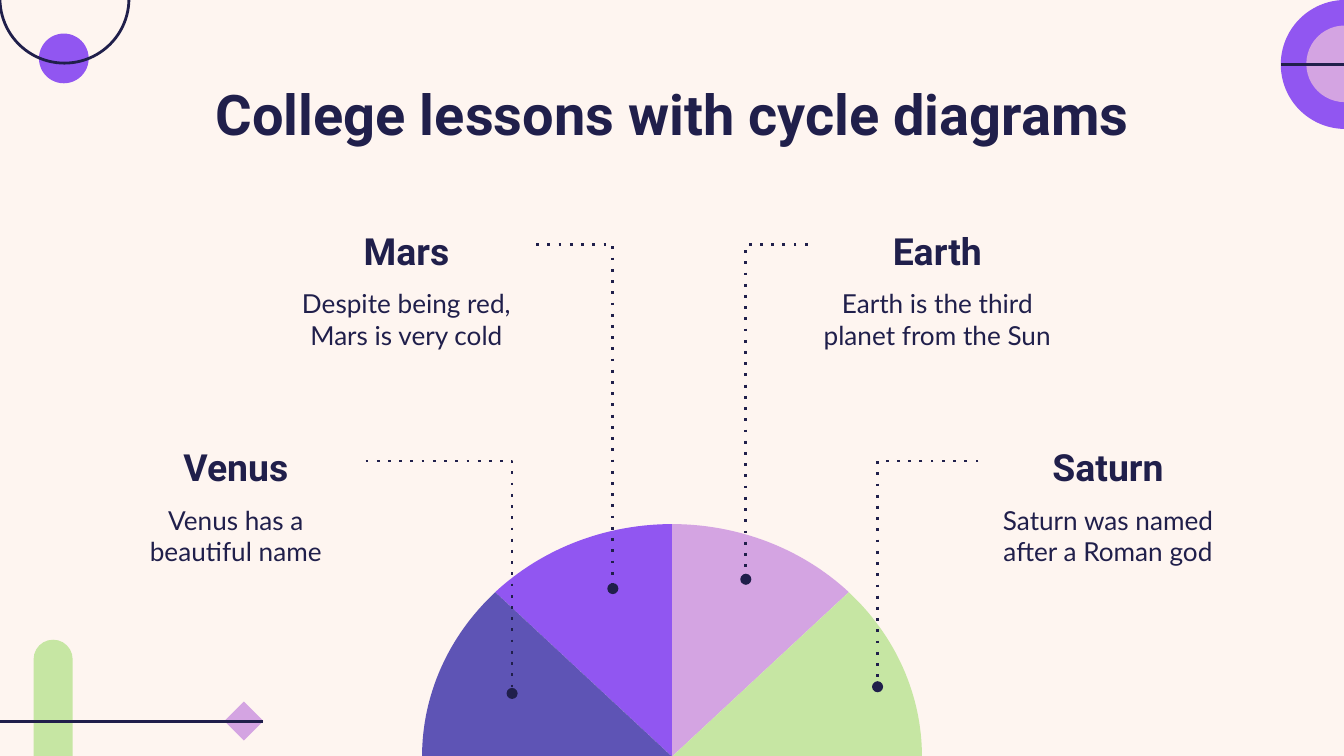
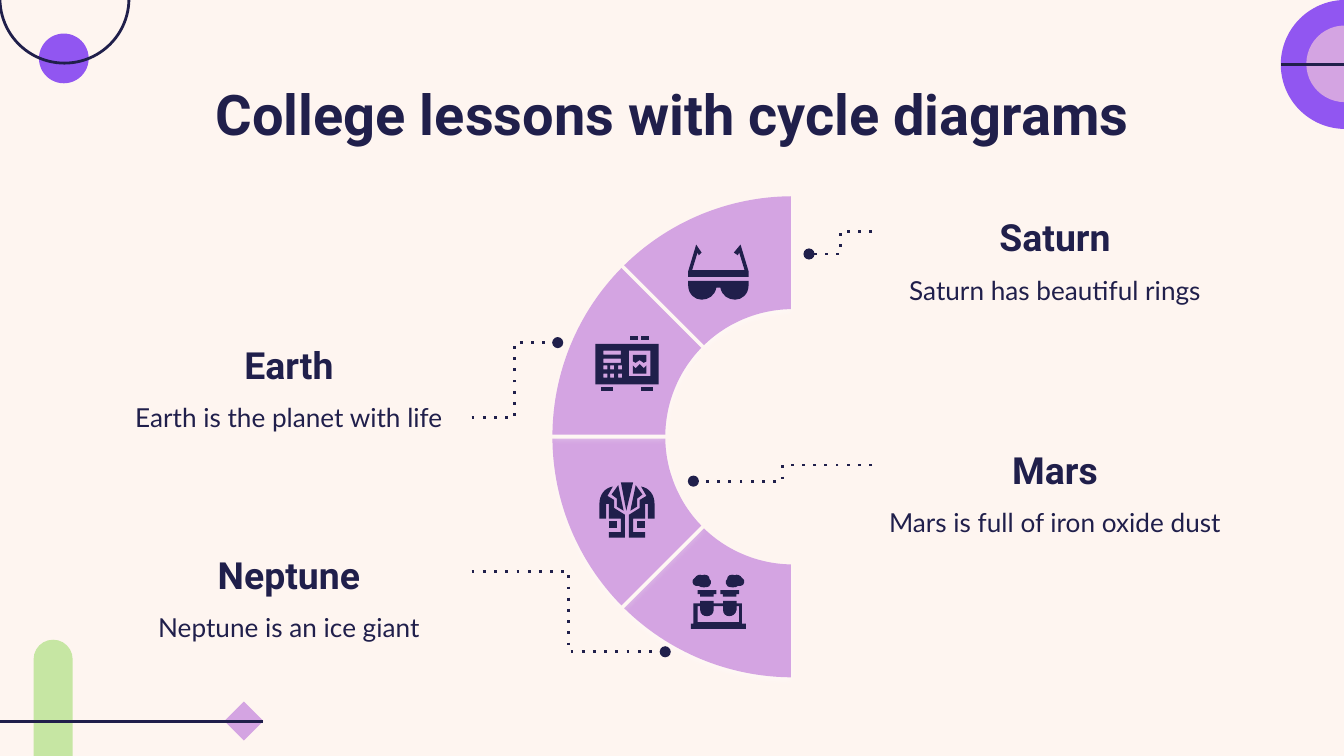
"""Build two slides of cycle diagrams about planets."""
import math

import lxml.etree
import pptx
import pptx.dml.color
import pptx.enum.shapes
import pptx.enum.text
import pptx.oxml.ns
import pptx.util

PX = 9144
SHAPES = pptx.enum.shapes.MSO_SHAPE
CONNECTORS = pptx.enum.shapes.MSO_CONNECTOR
ANCHORS = pptx.enum.text.MSO_ANCHOR
COLORS = {
    "cream": "FEF5F0",
    "navy": "201F4B",
    "violet": "9156F1",
    "lilac": "D4A4E2",
    "indigo": "5E54B5",
    "green": "C6E6A3",
    "glow": "FFFFFF",
}
FONTS = {
    "title": {"name": "Roboto", "size": pptx.util.Pt(30), "bold": True},
    "heading": {"name": "Roboto", "size": pptx.util.Pt(20), "bold": True},
    "body": {"name": "Lato", "size": pptx.util.Pt(14), "bold": False},
}
FRAME = {
    "word_wrap": True,
    "margin_left": 10 * PX,
    "margin_right": 10 * PX,
    "margin_top": 10 * PX,
    "margin_bottom": 10 * PX,
}
TITLE = "College lessons with cycle diagrams"


def rgb(color):
    """Return the colour stored under a name."""
    return pptx.dml.color.RGBColor.from_string(COLORS[color])


def emu(*lengths):
    """Turn px lengths into EMU."""
    return [round(length * PX) for length in lengths]


def add_xml(parent, tag, **attributes):
    """Append a DrawingML element to a parent."""
    return lxml.etree.SubElement(parent, pptx.oxml.ns.qn(tag), attributes)


def paint(shape, fill=None, line=None):
    """Give a shape its fill and line and take away its shadow."""
    shape.shadow.inherit = False
    if fill:
        shape.fill.solid()
        shape.fill.fore_color.rgb = rgb(fill)
    else:
        shape.fill.background()
    if line:
        shape.line.color.rgb = rgb(line)
        shape.line.width = pptx.util.Pt(1.5)
    else:
        shape.line.fill.background()


def add_preset(slide, kind, box, fill=None, line=None):
    """Add a preset shape."""
    shape = slide.shapes.add_shape(kind, *emu(*box))
    paint(shape, fill, line)
    return shape


def add_line(slide, ends, kind=CONNECTORS.STRAIGHT):
    """Add a navy connector without a shadow."""
    connector = slide.shapes.add_connector(kind, *emu(*ends))
    connector.line.color.rgb = rgb("navy")
    connector.line.width = pptx.util.Pt(1.5)
    add_xml(connector.element.spPr, "a:effectLst")
    return connector


def add_pointer(slide, ends, preset):
    """Add a dotted elbow that ends in a dot."""
    properties = add_line(slide, ends, CONNECTORS.ELBOW).element.spPr
    properties.find(pptx.oxml.ns.qn("a:prstGeom")).set("prst", preset)
    line = properties.find(pptx.oxml.ns.qn("a:ln"))
    add_xml(line, "a:prstDash", val="dot")
    add_xml(line, "a:round")
    add_xml(line, "a:tailEnd", type="oval", w="med", len="med")


def add_text(slide, text, box, style, anchor=ANCHORS.TOP):
    """Add centred text in one of the styles."""
    frame = slide.shapes.add_textbox(*emu(*box)).text_frame
    for name, value in {**FRAME, "vertical_anchor": anchor}.items():
        setattr(frame, name, value)
    paragraph = frame.paragraphs[0]
    paragraph.alignment = pptx.enum.text.PP_ALIGN.CENTER
    run = paragraph.add_run()
    run.text = text
    for name, value in FONTS[style].items():
        setattr(run.font, name, value)
    run.font.color.rgb = rgb("navy")


def add_label(slide, heading, body, left, top, width, height):
    """Add a planet's fact with its name above."""
    add_text(slide, body, (left, top, width, height), "body")
    add_text(slide, heading, (left, top - 52, width, 61), "heading", ANCHORS.BOTTOM)


def add_outline(shapes, contours, fill):
    """Add an outline of points and cubic curves; further contours cut holes."""
    first = emu(*contours[0][0])
    builder = shapes.build_freeform(*first, scale=1.0)
    for i, contour in enumerate(contours):
        points = [emu(*step[-2:]) for step in contour]
        if i:
            builder.move_to(*points[0])
        builder.add_line_segments(points[1:], close=True)
    shape = builder.convert_to_shape()
    paint(shape, fill)
    steps = [step for contour in contours for step in contour[1:]]
    segments = list(shape.element.spPr.iter(pptx.oxml.ns.qn("a:lnTo")))
    for segment, step in zip(segments, steps):
        if len(step) == 6:
            bend(segment, emu(*step), shape.left, shape.top)
    return shape


def bend(segment, step, left, top):
    """Turn a line segment into a cubic curve."""
    curve = lxml.etree.Element(pptx.oxml.ns.qn("a:cubicBezTo"))
    for x, y in zip(step[::2], step[1::2]):
        add_xml(curve, "a:pt", x=str(x - left), y=str(y - top))
    segment.getparent().replace(segment, curve)


def arc(center, radii, start, stop):
    """Return the first point and the curve of an arc between two angles."""
    first, last = math.radians(start), math.radians(stop)
    pull = 4 / 3 * math.tan((last - first) / 4)

    def point(angle, reach):
        """Return a point on the arc moved along its tangent."""
        x = math.cos(angle) - reach * math.sin(angle)
        y = math.sin(angle) + reach * math.cos(angle)
        return center[0] + radii[0] * x, center[1] - radii[1] * y

    return [point(first, 0), point(first, pull) + point(last, -pull) + point(last, 0)]


def turn_left(contour):
    """Turn a contour a quarter to the left about the middle of its box."""
    columns, rows = zip(*(step[-2:] for step in contour))
    x_middle = (min(columns) + max(columns)) / 2
    y_middle = (min(rows) + max(rows)) / 2
    return [
        tuple(
            value
            for x, y in zip(step[::2], step[1::2])
            for value in (x_middle + y - y_middle, y_middle - x + x_middle)
        )
        for step in contour
    ]


def add_ring_sector(slide, start):
    """Add an eighth of a ring with even gaps and a soft white shadow."""
    center, half_gap = (590, 325), 1.5
    outer, inner = (math.degrees(math.asin(half_gap / radius)) for radius in (179, 95))
    contour = arc(center, (179, 179), start + outer, start + 45 - outer)
    contour += arc(center, (95, 95), start + 45 - inner, start + inner)
    shape = add_outline(slide.shapes, [contour], "lilac")
    effects = shape.element.spPr.find(pptx.oxml.ns.qn("a:effectLst"))
    shadow = add_xml(effects, "a:outerShdw", blurRad="57150", dist="19050",
                     dir="5400000", algn="bl", rotWithShape="0")
    add_xml(add_xml(shadow, "a:srgbClr", val=COLORS["glow"]), "a:alpha", val="50000")


def rectangle(left, top, right, bottom):
    """Return the corners of a rectangle."""
    return [(left, top), (right, top), (right, bottom), (left, bottom)]


def mirror(contour, total):
    """Flip a contour about the vertical axis at half of total."""
    return [
        tuple(total - value if i % 2 == 0 else value for i, value in enumerate(step))
        for step in contour
    ]


def add_icon(slide, parts, mirrored=(), total=0):
    """Add a grouped navy icon of single and mirrored parts."""
    group = slide.shapes.add_group_shape()
    pairs = [[side] for part in mirrored for side in (part, mirror(part, total))]
    for contours in pairs + list(parts):
        add_outline(group.shapes, contours, "navy")


def add_test_tubes(slide):
    """Add the icon of two steaming test tubes."""
    rack = [(552, 464), (552, 449), (548, 449), (548, 447), (538, 447), (538, 449),
            (531, 449), (531, 447), (521, 447), (521, 449), (516, 449), (516, 464),
            (514, 464), (514, 468), (555, 468), (555, 464)]
    opening = [(519, 463), (519, 451), (521, 451), (521, 454),
               (521, 460, 531, 460, 531, 454), (531, 451), (538, 451), (538, 454),
               (538, 460, 547, 460, 548, 454), (548, 451), (550, 451), (550, 463)]
    rim = [(519, 439), (519, 442), (521, 442), (521, 444),
           (531, 444), (531, 442), (533, 442), (533, 439)]
    steam = [(518, 436), (519, 436, 519, 436, 520, 436), (521, 437, 522, 437, 524, 437),
             (527, 437, 529, 436, 529, 434), (529, 433, 529, 431, 528, 431),
             (528, 428, 525, 427, 522, 428), (521, 427, 518, 428, 517, 430),
             (514, 431, 515, 436, 518, 436)]
    add_icon(slide, [[rack, opening]], [rim, steam], 1069)


def add_goggles(slide):
    """Add the icon of safety goggles."""
    arms = [(557, 206), (557, 202), (551, 182), (546, 188), (549, 190), (550, 188),
            (554, 201), (515, 201), (519, 188), (520, 190), (522, 188), (518, 182),
            (512, 202), (512, 206)]
    lens = [(512, 209), (512, 212), (512, 219, 517, 223, 522, 223),
            (527, 223, 532, 220, 533, 214)]
    right = [(536, 214), (537, 220, 542, 223, 547, 223),
             (552, 223, 557, 219, 557, 212), (557, 209)]
    add_icon(slide, [[arms], [lens + right]])


def add_lab_coat(slide):
    """Add the icon of a lab coat."""
    sleeve = [(457, 372), (452, 369), (456, 362), (450, 363, 446, 368, 446, 375),
              (446, 386), (451, 386), (451, 375), (453, 375), (453, 386), (462, 386),
              (462, 396), (453, 396), (453, 400), (465, 400), (465, 383), (457, 378)]
    lapel = [(464, 380), (460, 361), (455, 368), (459, 371), (459, 377)]
    collar = [(462, 359), (466, 380), (471, 359)]
    add_icon(slide, [[collar]], [sleeve, rectangle(453, 388, 459, 393), lapel], 933)


def add_meter(slide):
    """Add the icon of a meter with keys and a screen."""
    keys = [rectangle(x, y, x + 3, y + 3) for y in (272, 278) for x in (449, 454, 460)]
    bars = [rectangle(449, y, 462, y + 3) for y in (261, 267)]
    panel = [rectangle(443, 256, 490, 286), rectangle(468, 261, 484, 280)] + keys + bars
    lower = [(481, 272), (479, 274), (476, 271), (473, 274), (471, 272),
             (471, 278), (481, 278)]
    upper = [(476, 268), (479, 270), (481, 269), (481, 264), (471, 264),
             (471, 269), (473, 270)]
    feet = [[rectangle(x, 288, x + 9, 291)] for x in (447, 477)]
    knobs = [[rectangle(x, 250, x + 6, 253)] for x in (469, 477)]
    add_icon(slide, [[lower], [upper], panel] + feet + knobs)


def add_base(presentation):
    """Add a slide with the shared corner decoration and title."""
    slide = presentation.slides.add_slide(presentation.slide_layouts[6])
    add_preset(slide, SHAPES.DIAMOND, (167, 522, 29, 29), "lilac")
    pill = add_preset(slide, SHAPES.ROUNDED_RECTANGLE, (-28, 529, 135, 29), "green")
    pill.adjustments[0] = 0.5
    pill.rotation = 90
    add_line(slide, (0, 537, 196, 537))
    add_preset(slide, SHAPES.OVAL, (953, 0, 96, 96), "violet")
    add_preset(slide, SHAPES.OVAL, (972, 19, 57, 57), "lilac")
    add_line(slide, (953, 48, 1048, 48))
    add_preset(slide, SHAPES.OVAL, (29, 25, 37, 37), "violet")
    add_preset(slide, SHAPES.OVAL, (0, -49, 96, 96), line="navy")
    add_text(slide, TITLE, (79, 49, 843, 63), "title")
    return slide


def add_half_pie_slide(presentation):
    """Add the slide with four planets around a half pie."""
    slide = add_base(presentation)
    for heading, body, left, top in (
        ("Venus", "Venus has a beautiful name", 79, 365),
        ("Saturn", "Saturn was named after a Roman god", 728, 365),
        ("Earth", "Earth is the third planet from the Sun", 601, 204),
        ("Mars", "Despite being red, Mars is very cold", 206, 204),
    ):
        add_label(slide, heading, body, left, top, 193, 67)
    center = (500, 563)
    for start, fill in ((90, "violet"), (135, "indigo"), (45, "lilac"), (0, "green")):
        contour = [center] + arc(center, (186, 173), start, start + 45)
        add_outline(slide.shapes, [turn_left(contour)], fill).rotation = 90
    for ends in ((272, 343, 381, 516), (399, 182, 456, 438),
                 (601, 182, 555, 431), (728, 343, 653, 511)):
        add_pointer(slide, ends, "bentConnector2")


def add_half_ring_slide(presentation):
    """Add the slide with four planets around a half ring of icons."""
    slide = add_base(presentation)
    for heading, body, left, top in (
        ("Earth", "Earth is the planet with life", 79, 289),
        ("Neptune", "Neptune is an ice giant", 79, 445),
        ("Saturn", "Saturn has beautiful rings", 649, 194),
        ("Mars", "Mars is full of iron oxide dust", 649, 367),
    ):
        add_label(slide, heading, body, left, top, 272, 44)
    for start, add_sector_icon in ((225, add_test_tubes), (90, add_goggles),
                                   (180, add_lab_coat), (135, add_meter)):
        add_ring_sector(slide, start)
        add_sector_icon(slide)
    for ends in ((351, 311, 415, 255), (351, 425, 495, 485),
                 (649, 346, 516, 358), (649, 172, 602, 189)):
        add_pointer(slide, ends, "bentConnector3")


def main():
    """Build and save the presentation."""
    presentation = pptx.Presentation()
    presentation.slide_width = 1000 * PX
    presentation.slide_height = 1000 * PX * 9 // 16
    background = presentation.slide_master.background.fill
    background.solid()
    background.fore_color.rgb = rgb("cream")
    add_half_pie_slide(presentation)
    add_half_ring_slide(presentation)
    presentation.save("out.pptx")


if __name__ == "__main__":
    main()
